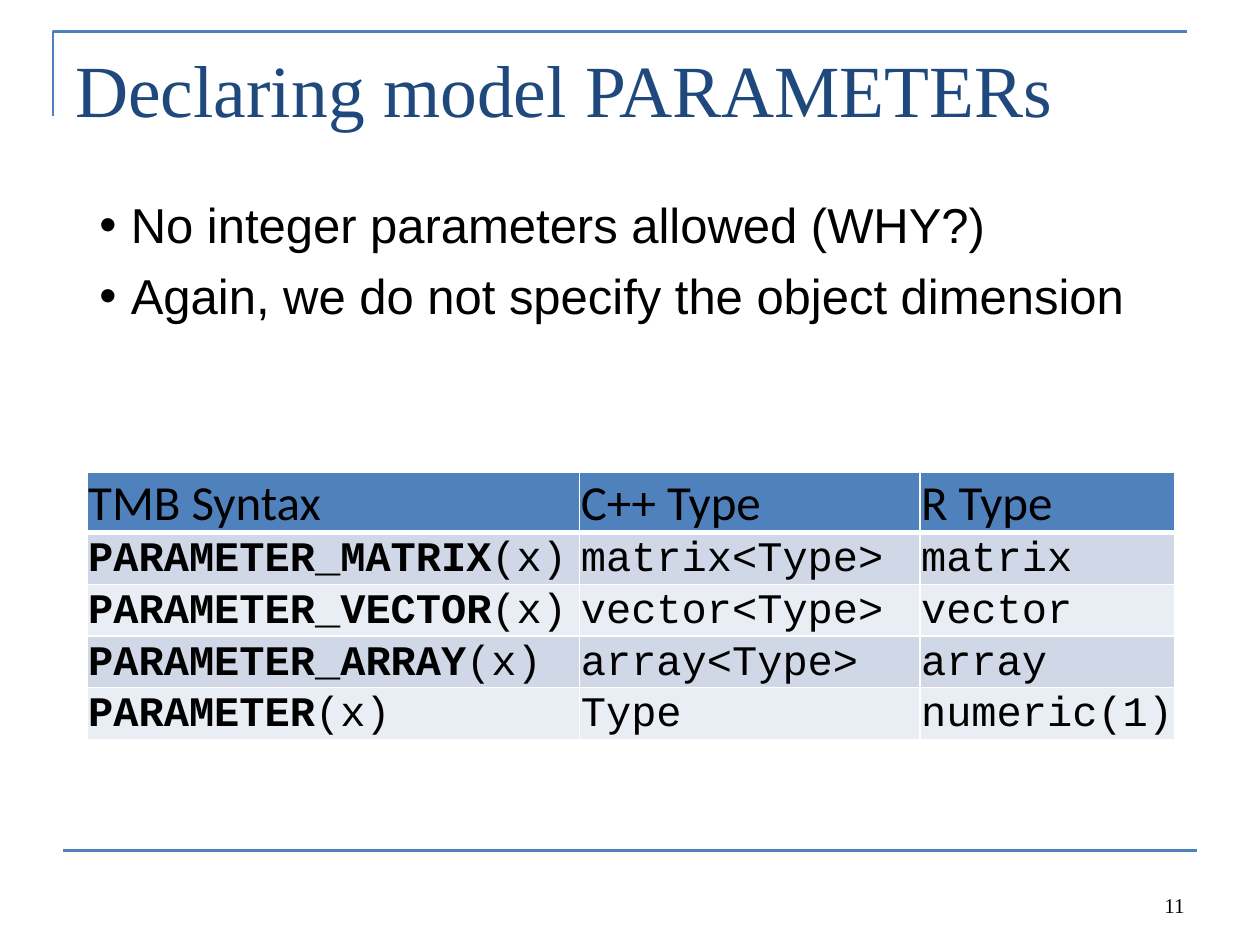
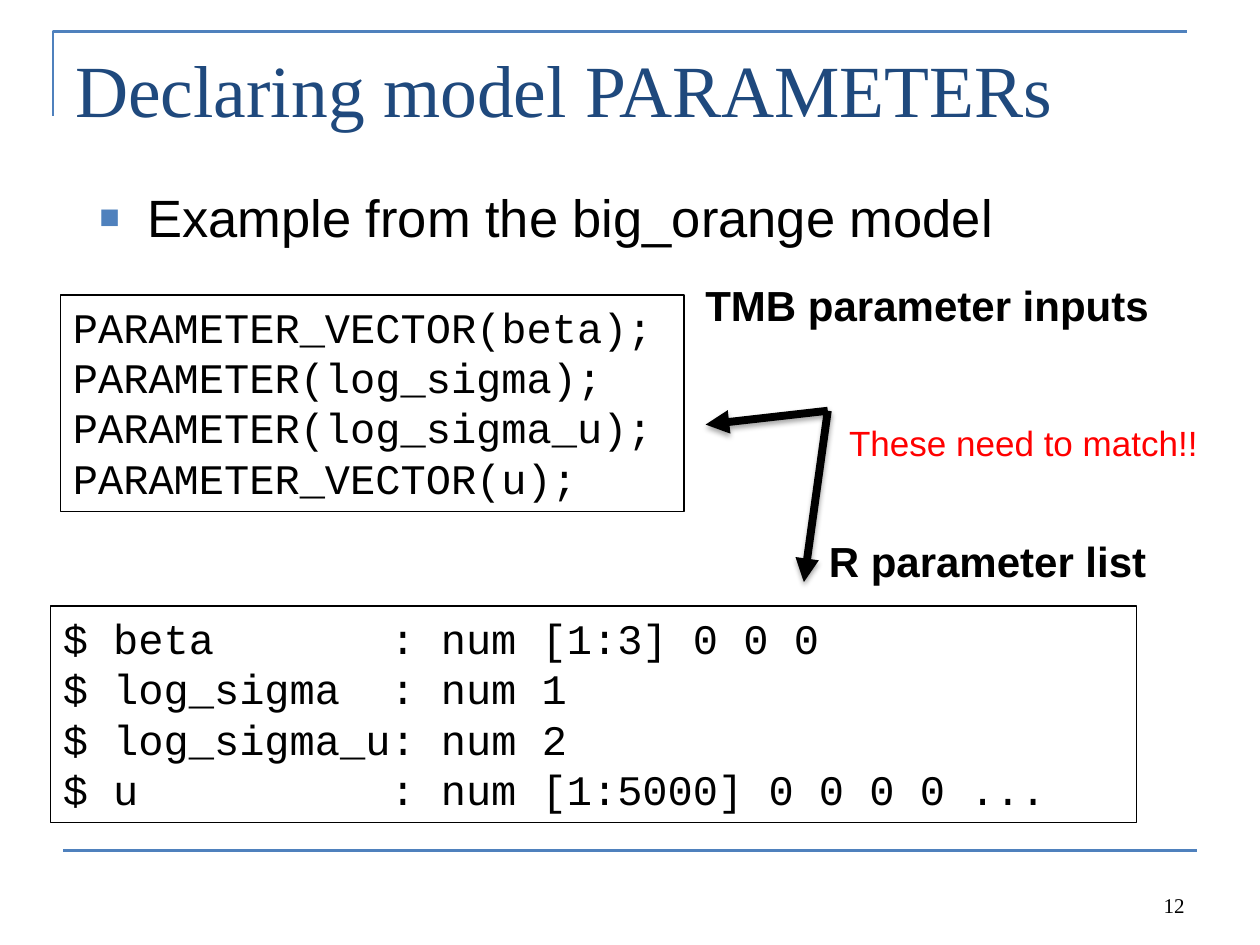
import pptx
import pptx.dml.color
import pptx.enum.shapes
import pptx.enum.text
import pptx.oxml
import pptx.oxml.ns
import pptx.util
from pptx.util import Inches

ALIGN = pptx.enum.text.PP_ALIGN
ANCHOR = pptx.enum.text.MSO_ANCHOR
SHAPES = pptx.enum.shapes
NAMESPACE = pptx.oxml.ns.nsdecls("a")


def color(code):
    """Turn a hex string into a colour."""
    return pptx.dml.color.RGBColor.from_string(code)


def assign(target, values):
    """Set the attributes of an object from a dict."""
    for name, value in values.items():
        setattr(target, name, value)


def add_xml(parent, *fragments):
    """Append drawing elements, each written without its namespace."""
    for fragment in fragments:
        tag, rest = fragment.split(" ", 1)
        parent.append(pptx.oxml.parse_xml(f"<a:{tag} {NAMESPACE} {rest}"))


def solid(code, alpha=100):
    """Return the XML of a colour with its opacity in percent."""
    return f'<a:srgbClr val="{code}"><a:alpha val="{alpha * 1000}"/></a:srgbClr>'


class Deck:
    """Holds the style, the presentation and the current slide."""

    blue, navy, black, white, red = "4F81BD", "1F497D", "000000", "FFFFFF", "FF0000"
    bands = ("D0D8E8", "E9EDF4")
    serif, sans, mono, heading = "Times New Roman", "Arial", "Courier New", "Calibri"

    def __init__(self):
        self.deck = pptx.Presentation()
        assign(self.deck, {"slide_width": Inches(10), "slide_height": Inches(7.5)})
        self.page = None

    def add_page(self, title, number):
        """Start a slide with its frame, title and page number."""
        self.page = self.deck.slides.add_slide(self.deck.slide_layouts[6])
        self.corner()
        self.line((0.5, 6.75), (9.5, 6.75), self.blue, 1.5)
        self.text((0.5, 0.3, 9, 1.25), [title], self.serif, 42, self.navy)
        self.text((7.17, 6.83, 2.33, 0.5), [str(number)], self.serif, 12,
                  anchor=ANCHOR.BOTTOM, align=ALIGN.RIGHT)

    def corner(self):
        """Draw the angled rule around the top left of the title."""
        builder = self.page.shapes.build_freeform(Inches(0.42), Inches(0.92))
        builder.add_line_segments(
            [(Inches(0.42), Inches(0.25)), (Inches(9.42), Inches(0.25))], close=False)
        rule = builder.convert_to_shape()
        rule.shadow.inherit = False
        rule.fill.background()
        self.stroke(rule.line, self.blue, 1.5)

    def stroke(self, line, code, width):
        """Give a line its colour and width."""
        line.color.rgb = color(code)
        line.width = pptx.util.Pt(width)

    def line(self, start, end, code, width, arrow=False):
        """Draw a straight line, or a shadowed arrow pointing at its end."""
        rule = self.page.shapes.add_connector(
            SHAPES.MSO_CONNECTOR.STRAIGHT, *map(Inches, start + end))
        self.stroke(rule.line, code, width)
        properties = rule._element.spPr
        if arrow:
            add_xml(rule.line._get_or_add_ln(), 'tailEnd type="triangle"/>')
            blur, distance = pptx.util.Pt(3.1), pptx.util.Pt(1.8)
            add_xml(properties, f'effectLst ><a:outerShdw blurRad="{blur}" '
                    f'dist="{distance}" dir="5400000" rotWithShape="0">'
                    f'{solid(self.black, 35)}</a:outerShdw></a:effectLst>')
        else:
            add_xml(properties, "effectLst />")

    def fill_text(self, frame, paragraphs, font, size, code, bold=False,
                  align=ALIGN.LEFT):
        """Write paragraphs, each a string or a list of (text, bold) spans."""
        for index, content in enumerate(paragraphs):
            para = frame.add_paragraph() if index else frame.paragraphs[0]
            para.alignment = align
            spans = [(content, bold)] if isinstance(content, str) else content
            for words, heavy in spans:
                span = para.add_run()
                span.text = words
                assign(span.font, {"name": font, "size": pptx.util.Pt(size),
                                   "bold": heavy})
                span.font.color.rgb = color(code)

    def text(self, place, paragraphs, font, size, code=black, bold=False,
             anchor=ANCHOR.TOP, align=ALIGN.LEFT):
        """Add a text box and return its frame."""
        box = self.page.shapes.add_textbox(*map(Inches, place))
        assign(box.text_frame, {"word_wrap": True, "vertical_anchor": anchor})
        self.fill_text(box.text_frame, paragraphs, font, size, code, bold, align)
        return box.text_frame

    def bullets(self, place, paragraphs, size, indent, marks, spacing):
        """Add a bulleted list with the given bullet marks and spacing."""
        frame = self.text(place, paragraphs, self.sans, size)
        for para in frame.paragraphs:
            properties = para._p.get_or_add_pPr()
            properties.set("marL", str(Inches(indent)))
            properties.set("indent", str(-Inches(indent)))
            add_xml(properties, *marks)
            assign(para, spacing)

    def code(self, place, lines, tab=None):
        """Add an outlined code listing, with an optional tab stop."""
        box = self.page.shapes.add_shape(
            SHAPES.MSO_SHAPE.RECTANGLE, *map(Inches, place))
        box.shadow.inherit = False
        box.fill.background()
        self.stroke(box.line, self.black, 0.75)
        assign(box.text_frame, {"word_wrap": True, "vertical_anchor": ANCHOR.TOP})
        self.fill_text(box.text_frame, lines, self.mono, 24, self.black)
        if tab:
            for para in box.text_frame.paragraphs:
                add_xml(para._p.get_or_add_pPr(),
                        f'tabLst ><a:tab pos="{Inches(tab)}" algn="l"/></a:tabLst>')

    def table(self, place, widths, rows):
        """Add a table with a header row and banded body rows."""
        grid = self.page.shapes.add_table(
            len(rows), len(widths), *map(Inches, place)).table
        assign(grid, {"first_row": False, "horz_banding": False})
        for column, width in zip(grid.columns, widths):
            column.width = Inches(width)
        for index, row in enumerate(rows):
            grid.rows[index].height = Inches(0.41)
            header = index == 0
            font, size = (self.heading, 28) if header else (self.mono, 24)
            fill = self.blue if header else self.bands[(index - 1) % 2]
            edges = {"L": 1, "R": 1, "T": 3 if index == 1 else 1,
                     "B": 3 if header else 1}
            for place_in_row, content in enumerate(row):
                self.cell(grid.cell(index, place_in_row), content, font, size,
                          fill, edges)

    def cell(self, cell, content, font, size, fill, edges):
        """Fill one table cell and draw its borders."""
        assign(cell, {"vertical_anchor": ANCHOR.BOTTOM, "margin_left": Inches(0.01),
                      "margin_right": Inches(0.01), "margin_top": Inches(0.01),
                      "margin_bottom": 0})
        self.fill_text(cell.text_frame, [content], font, size, self.black)
        add_xml(cell._tc.get_or_add_tcPr(), *(
            f'ln{side} w="{pptx.util.Pt(width)}"><a:solidFill>{solid(self.white)}'
            f'</a:solidFill></a:ln{side}>' for side, width in edges.items()))
        cell.fill.solid()
        cell.fill.fore_color.rgb = color(fill)


def macro(name):
    """Return a bold macro name followed by its plain argument."""
    return [(name, True), ("(x)", False)]


def build_types(show):
    """Slide on the parameter macros and their types."""
    show.add_page("Declaring model PARAMETERs", 11)
    show.table((0.69, 3.75, 8.63, 2.05), (3.91, 2.7, 2.02), [
        ("TMB Syntax", "C++ Type", "R Type"),
        (macro("PARAMETER_MATRIX"), "matrix<Type>", "matrix"),
        (macro("PARAMETER_VECTOR"), "vector<Type>", "vector"),
        (macro("PARAMETER_ARRAY"), "array<Type>", "array"),
        (macro("PARAMETER"), "Type", "numeric(1)"),
    ])
    show.bullets((0.69, 1.55, 8.62, 1.45),
                 ["No integer parameters allowed (WHY?)",
                  "Again, we do not specify the object dimension"],
                 28, 0.25, ['buFont typeface="Arial"/>', 'buChar char="•"/>'],
                 {"line_spacing": 0.9, "space_before": pptx.util.Pt(10)})


def build_example(show):
    """Slide that pairs the macros with the R parameter list."""
    show.add_page("Declaring model PARAMETERs", 12)
    show.bullets((0.69, 1.42, 8.62, 0.8), ["Example from the big_orange model"],
                 30, 0.38,
                 [f"buClr >{solid(show.blue)}</a:buClr>", 'buSzPct val="65000"/>',
                  'buFont typeface="Arial"/>', 'buChar char="■"/>'],
                 {"space_before": pptx.util.Pt(6)})
    show.code((0.48, 2.34, 4.95, 1.72),
              ["PARAMETER_VECTOR(beta);", "PARAMETER(log_sigma);",
               "PARAMETER(log_sigma_u);", "PARAMETER_VECTOR(u);"])
    show.code((0.4, 4.81, 8.62, 1.72),
              ["$ beta\t: num [1:3] 0 0 0", "$ log_sigma\t: num 1",
               "$ log_sigma_u: num 2", "$ u\t: num [1:5000] 0 0 0 0 ..."], tab=2.6)
    show.text((6.64, 3.3, 3.69, 0.44), ["These need to match!!"],
              show.sans, 20, show.red)
    for target in ((6.38, 4.62), (5.6, 3.37)):
        show.line((6.57, 3.26), target, show.black, 4.5, arrow=True)
    for place, label in (((6.48, 4.2, 3.03, 0.5), "R parameter list"),
                         ((5.5, 2.17, 4.2, 0.5), "TMB parameter inputs")):
        show.text(place, [label], show.sans, 24, bold=True)


show = Deck()
build_types(show)
build_example(show)
show.deck.save("out.pptx")
